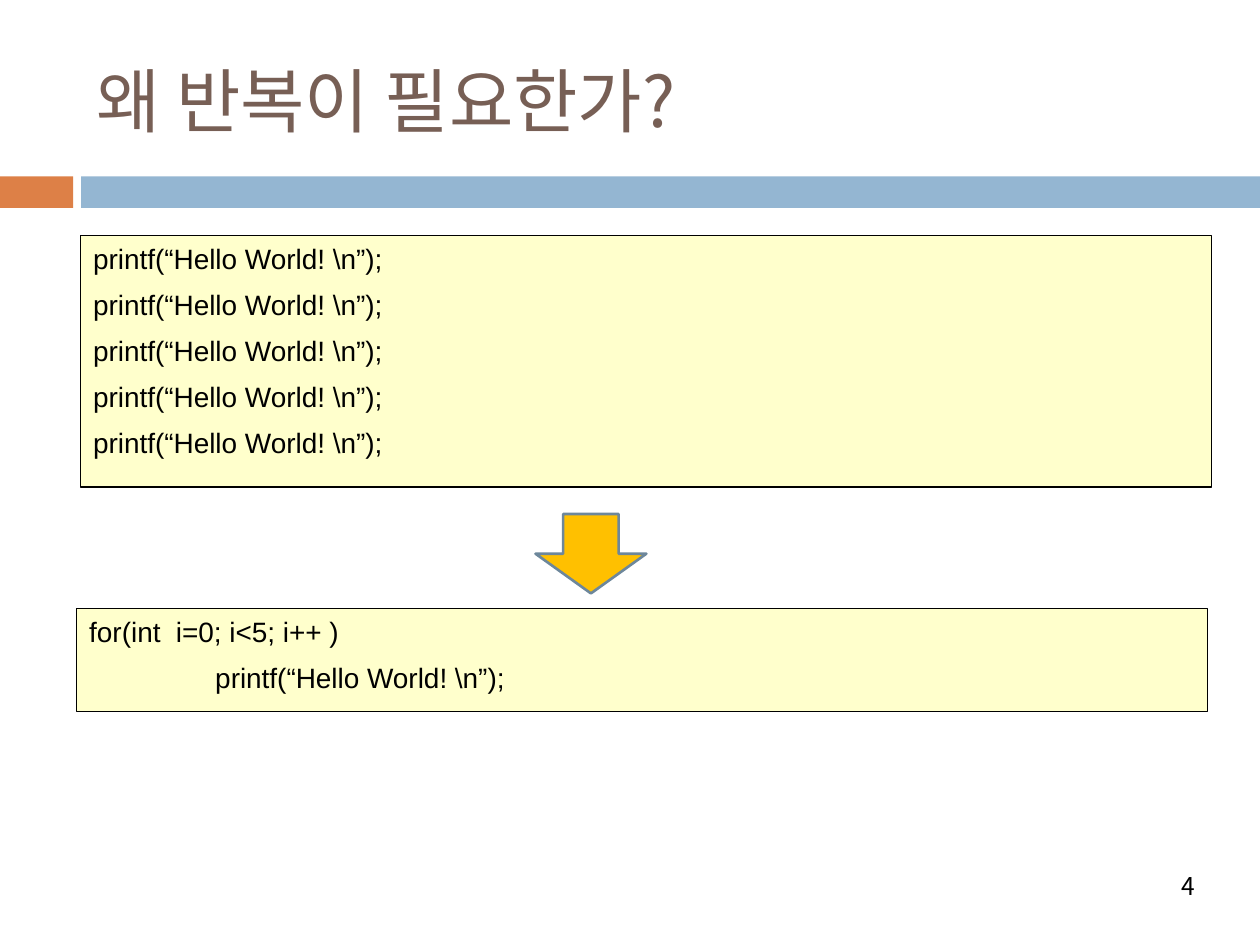
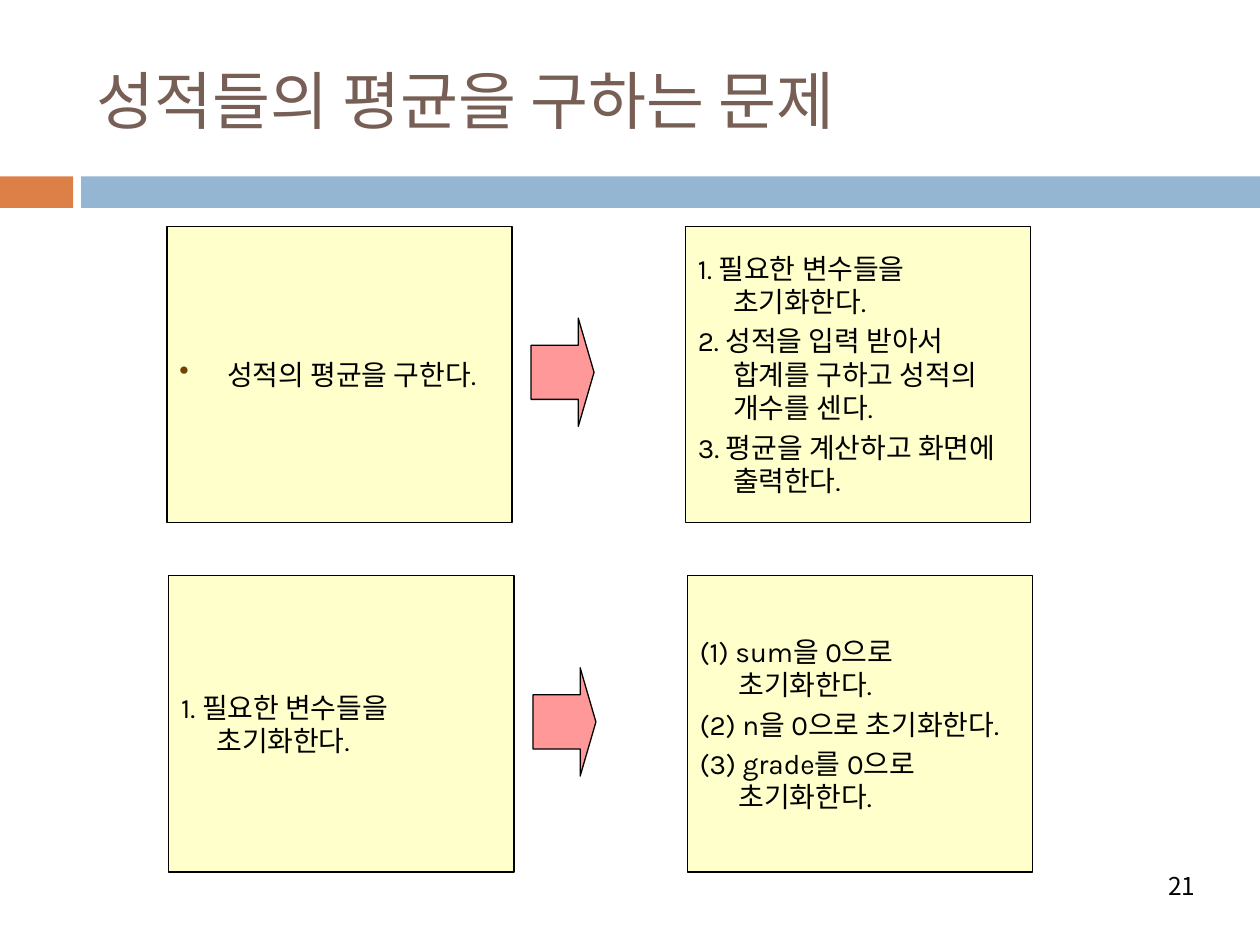
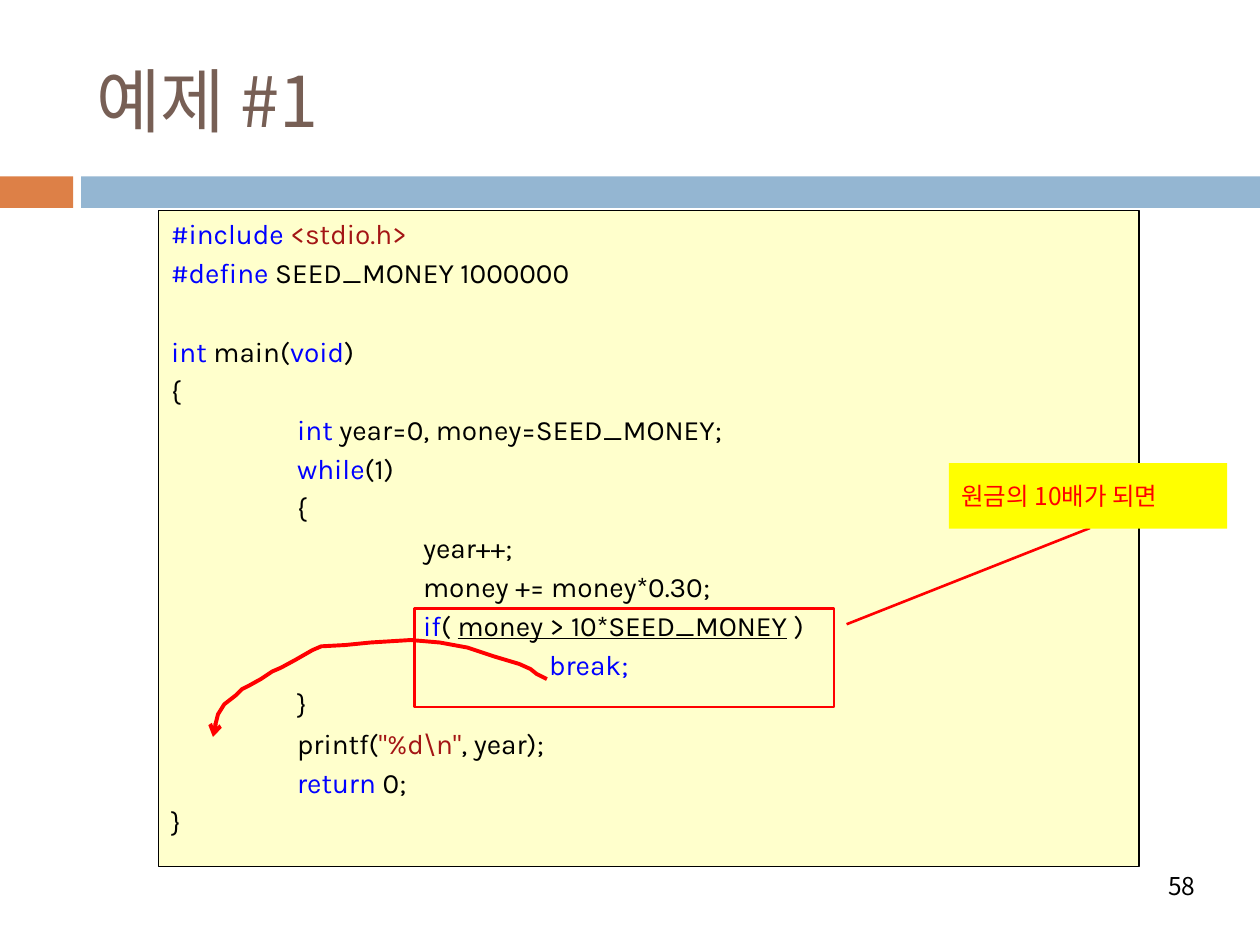
from lxml.etree import SubElement
from pptx import Presentation
from pptx.dml.color import RGBColor as RGB
from pptx.enum.shapes import MSO_SHAPE as Kind
from pptx.enum.text import MSO_ANCHOR as Anchor, MSO_AUTO_SIZE as Fit, PP_ALIGN as Align
from pptx.oxml.ns import qn
from pptx.util import Inches, Pt

ORANGE = RGB(0xDD, 0x80, 0x47)
SKY = RGB(0x94, 0xB6, 0xD2)
BROWN = RGB(0x77, 0x5F, 0x55)
CREAM = RGB(0xFF, 0xFF, 0xCC)
GOLD = RGB(0xFF, 0xC0, 0x00)
STEEL = RGB(0x6D, 0x87, 0x9B)
PINK = RGB(0xFF, 0x99, 0x99)
YELLOW = RGB(0xFF, 0xFF, 0x00)
RED = RGB(0xFF, 0x00, 0x00)
BLUE = RGB(0x00, 0x00, 0xFF)
MAROON = RGB(0xA3, 0x15, 0x15)
BLACK = RGB(0x00, 0x00, 0x00)
NOTO, KARLA, ARIAL = "Noto Sans CJK KR", "Karla", "Arial"

deck = Presentation()
deck.slide_width, deck.slide_height = Inches(10), Inches(7.5)
UNIT = deck.slide_width / 100  # grid of 100 columns and 75 rows


def box(slide, kind, area, fill=None, line=None, width=0.75):
    shape = slide.shapes.add_shape(kind, *(int(UNIT * v) for v in area))
    shape.shadow.inherit = False
    if fill is None:
        shape.fill.background()
    else:
        shape.fill.solid()
        shape.fill.fore_color.rgb = fill
    if line is None:
        shape.line.fill.background()
    else:
        shape.line.color.rgb = line
        shape.line.width = Pt(width)
    return shape


def write(shape, lines, size, font, ink=BLACK, align=Align.LEFT,
          anchor=Anchor.MIDDLE, gap=0, left=0, hang=0):
    """Fill a shape with lines; code between tildes is highlighted."""
    frame = shape.text_frame
    frame.word_wrap, frame.auto_size = True, Fit.NONE
    frame.vertical_anchor = anchor
    frame.text = "\n".join(line.replace("~", "") for line in lines)
    for para, line in zip(frame.paragraphs, lines):
        para.alignment, para.space_before = align, Pt(gap)
        props = para._p.get_or_add_pPr()
        props.set("marL", str(Inches(left)))
        props.set("indent", str(-Inches(hang)))
        props.set("defTabSz", str(Inches(1)))
        if "~" in line:
            para.text = ""
        for i, part in enumerate(line.split("~")):
            if not part:
                continue
            if "~" in line:
                run = para.add_run()
                run.text = part
            else:
                run = para.runs[0]
            face = run.font
            face.size, face.name, face.color.rgb = Pt(size), font, ink
            SubElement(run._r.rPr, qn("a:ea"), typeface=font)
            if i % 2 and part.startswith("money"):
                face.underline = True
            elif i % 2:
                face.color.rgb = MAROON if part[0] in '<"' else BLUE


# Shared parts: bands, title, page number
slides = []
for head, size, page in (("왜 반복이 필요한가?", 40, "4"),
                         ("성적들의 평균을 구하는 문제", 36, "21"),
                         ("예제 #1", 40, "58")):
    slide = deck.slides.add_slide(deck.slide_layouts[5])
    box(slide, Kind.RECTANGLE, (0, 14, 5.8, 2.5), ORANGE)
    box(slide, Kind.RECTANGLE, (6.45, 14, 93.55, 2.5), SKY)
    title = slide.shapes.title
    title.left, title.top, title.width, title.height = (
        int(UNIT * v) for v in (6.65, 2.5, 89.2, 10.8))
    write(title, [head], size, NOTO, BROWN)
    number = slide.shapes.add_textbox(*(int(UNIT * v) for v in (68.05, 68.3, 27.8, 4)))
    write(number, [page], 14, NOTO, align=Align.RIGHT)
    slides.append(slide)
why, mean, sample = slides

# Why repeat: five calls become one loop
hello = "printf(“Hello World! \\n”);"
for area, lines in (((6.4, 18.7, 89.75, 19.95), [hello] * 5),
                    ((6.1, 48.3, 89.75, 8.2), ["for(int  i=0; i<5; i++ )", "\t" + hello])):
    code = box(why, Kind.RECTANGLE, area, CREAM, BLACK)
    write(code, lines, 16, ARIAL, anchor=Anchor.TOP, gap=7)
box(why, Kind.DOWN_ARROW, (42.5, 40.8, 8.8, 6.3), GOLD, STEEL, 1.5)

# Mean of grades: each row splits a task into steps
init = "1. 필요한 변수들을 초기화한다."
rows = (
    (["성적의 평균을 구한다."], 0.38, 0.38,
     [init, "2. 성적을 입력 받아서 합계를 구하고 성적의 개수를 센다.",
      "3. 평균을 계산하고 화면에 출력한다."], 0.28),
    ([init], 0.28, 0.42,
     ["(1) sum을 0으로 초기화한다.", "(2) n을 0으로 초기화한다.",
      "(3) grade를 0으로 초기화한다."], 0.31),
)
for i, (task, left, hang, steps, inset) in enumerate(rows):
    x, y = 13.25 + 0.15 * i, 17.95 + 27.75 * i
    goal = box(mean, Kind.RECTANGLE, (x, y, 27.4, 23.5), CREAM, BLACK)
    write(goal, task, 16, KARLA, gap=3.2, left=left, hang=hang)
    if i == 0:
        props = goal.text_frame.paragraphs[0]._p.pPr
        SubElement(SubElement(props, qn("a:buClr")), qn("a:srgbClr"), val="704404")
        SubElement(props, qn("a:buChar"), char="•")
    arrow = box(mean, Kind.RIGHT_ARROW, (x + 28.9, y + 7.3, 5, 8.6), PINK, BLACK)
    arrow.adjustments[1] = 0.25
    plan = box(mean, Kind.RECTANGLE, (x + 41.15, y, 27.4, 23.5), CREAM, BLACK)
    write(plan, steps, 16, KARLA, gap=3.2, left=inset, hang=0.42)

# Sample program
lines = [
    "~#include ~~<stdio.h>~",
    "~#define~ SEED_MONEY 1000000",
    "~int~ main(~void~)",
    "{",
    "\t~int~ year=0, money=SEED_MONEY;",
    "\t~while~(1)",
    "\t{",
    "\t\tyear++;",
    "\t\tmoney += money*0.30;",
    "\t\t~if~( ~money > 10*SEED_MONEY~ )",
    "\t\t\t~break;~",
    "\t}",
    '\tprintf(~"%d\\n"~, year);',
    "\t~return~ 0;",
    "}",
]
code = box(sample, Kind.RECTANGLE, (12.6, 16.7, 77.8, 52.1), CREAM, BLACK)
write(code, lines, 16, KARLA, anchor=Anchor.TOP, gap=3.2)
code.text_frame.paragraphs[2].space_before = Pt(25.6)  # one line free above main

# Callout around the test, with its note
call = box(sample, Kind.LINE_CALLOUT_1, (32.9, 48.3, 33.3, 7.8), line=RED, width=1.5)
for i, share in enumerate((0.16, 1.03, -0.82, 1.61)):
    call.adjustments[i] = share
note = box(sample, Kind.RECTANGLE, (75.3, 36.75, 22.1, 5.2), YELLOW)
write(note, ["원금의 10배가 되면"], 14, NOTO, RED, Align.JUSTIFY)

# Curved arrow from break out of the loop, in tenths of a grid unit
curve = [(426, 535), (421, 531), (412, 527), (392, 521), (371, 514),
         (349, 510), (326, 508), (294, 510), (274, 512), (255, 513),
         (248, 516), (234, 524), (223, 530), (216, 533), (207, 539),
         (198, 544), (192, 547), (187, 552), (178, 559), (173, 567),
         (171, 575), (169, 585)]
pen = sample.shapes.build_freeform(434, 539, scale=UNIT / 10)
pen.add_line_segments(curve, close=False)
jump = pen.convert_to_shape()
jump.shadow.inherit = False
jump.fill.background()
jump.line.color.rgb, jump.line.width = RED, Pt(2.25)
SubElement(jump.element.spPr.find(qn("a:ln")), qn("a:tailEnd"), type="arrow")

deck.save("out.pptx")
